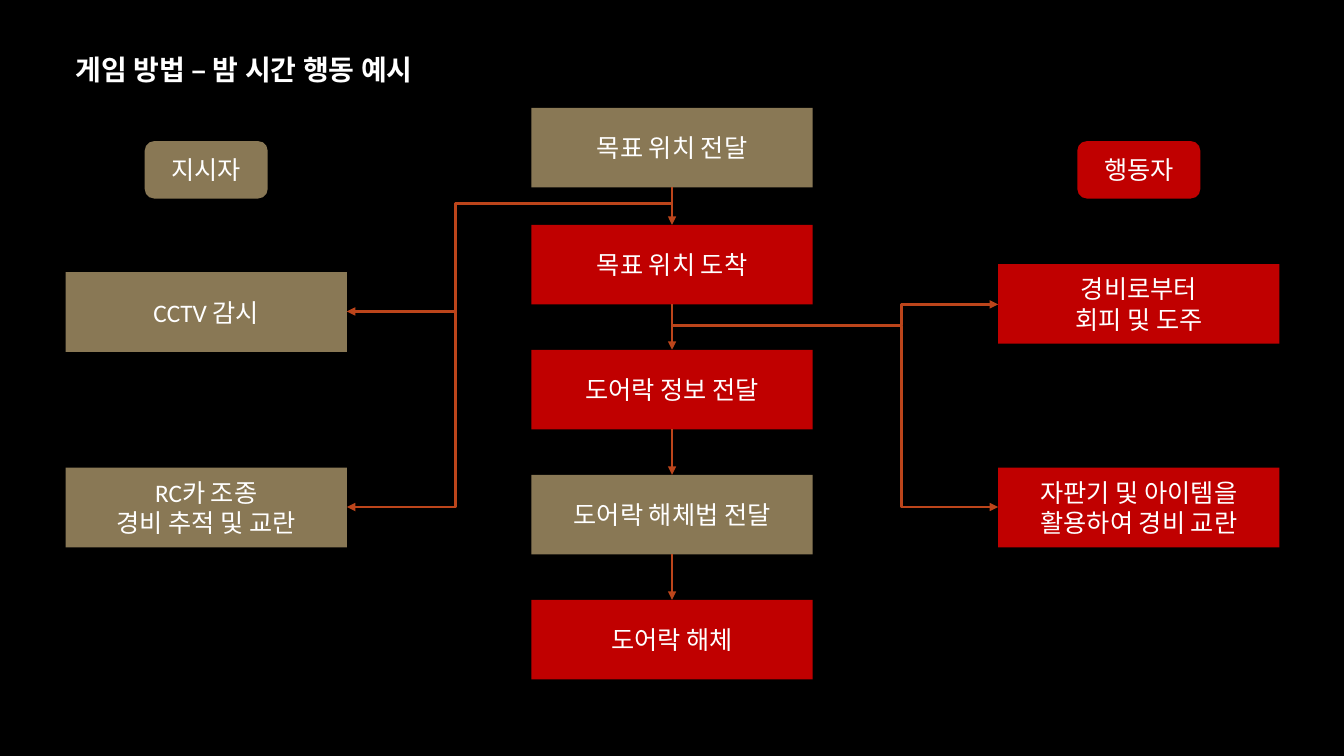
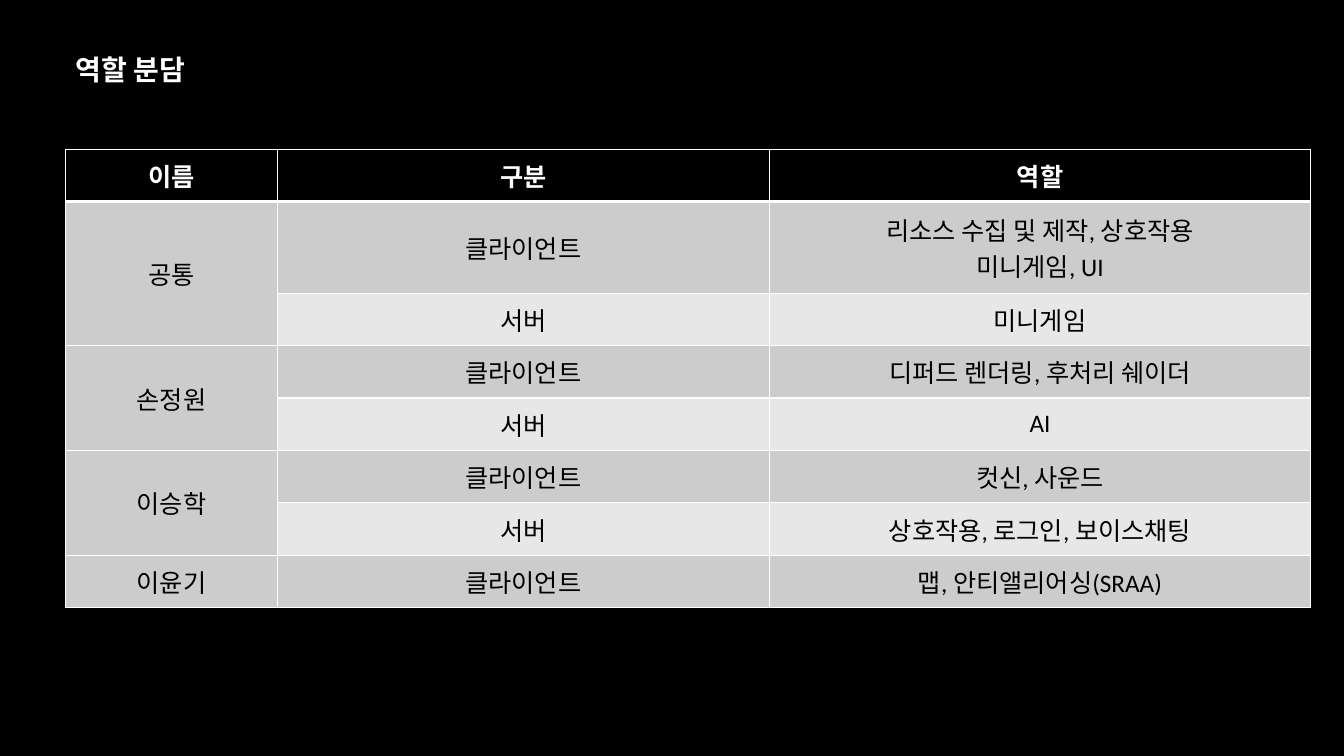
from lxml import etree
from pptx import Presentation
from pptx.dml.color import RGBColor
from pptx.enum.shapes import MSO_CONNECTOR as CONN, MSO_SHAPE as SHAPE
from pptx.enum.text import MSO_ANCHOR as ANCHOR, MSO_AUTO_SIZE as AUTO, PP_ALIGN as ALIGN
from pptx.oxml import parse_xml
from pptx.oxml.ns import nsdecls, qn
from pptx.util import Inches, Pt

# Shared style
BLACK = RGBColor(0x00, 0x00, 0x00)
WHITE = RGBColor(0xFF, 0xFF, 0xFF)
TAN = RGBColor(0x89, 0x78, 0x55)
RED = RGBColor(0xC0, 0x00, 0x00)
RUST = RGBColor(0xBC, 0x45, 0x1B)
GREY = RGBColor(0xCC, 0xCC, 0xCC)
LIGHT = RGBColor(0xE7, 0xE7, 0xE7)
TITLE_FONT, BODY_FONT = "Arial", "Calibri"
SLIDE_W, SLIDE_H = 13.33, 7.5
MARGIN = 0.65

# Flow chart measures
BOX_W, BOX_H = 2.79, 0.79
PILL_W, PILL_H, PILL_TOP = 1.22, 0.57, 1.4
LEFT_X, MID_X, RIGHT_X = MARGIN, 5.27, 9.9
CENTER_X = MID_X + BOX_W / 2

STEPS = [
    ("목표 위치 전달", TAN, 1.07),
    ("목표 위치 도착", RED, 2.23),
    ("도어락 정보 전달", RED, 3.47),
    ("도어락 해체법 전달", TAN, 4.71),
    ("도어락 해체", RED, 5.95),
]
# Role, column left, colour, (top, text) of each action
ROLES = [
    ("지시자", LEFT_X, TAN, [(2.7, "CCTV 감시"), (4.64, "RC카 조종\n경비 추적 및 교란")]),
    ("행동자", RIGHT_X, RED, [(2.62, "경비로부터\n회피 및 도주"),
                           (4.64, "자판기 및 아이템을 활용하여 경비 교란")]),
]
# Branch start y, trunk x, target x, target y's
BRANCHES = [
    (2.02, 4.52, LEFT_X + BOX_W, (3.09, 5.03)),
    (3.23, 8.94, RIGHT_X, (3.02, 5.03)),
]

# Role table
COL_W = [2.1, 4.88, 5.37]
ROW_H = [0.52, 0.91] + [0.52] * 6
HEADER = ("이름", "구분", "역할")
CLIENT, SERVER = "클라이언트", "서버"
MEMBERS = [
    ("공통", [(CLIENT, "리소스 수집 및 제작, 상호작용\n미니게임, UI"), (SERVER, "미니게임")]),
    ("손정원", [(CLIENT, "디퍼드 렌더링, 후처리 쉐이더"), (SERVER, "AI")]),
    ("이승학", [(CLIENT, "컷신, 사운드"), (SERVER, "상호작용, 로그인, 보이스채팅")]),
    ("이윤기", [(CLIENT, "맵, 안티앨리어싱(SRAA)")]),
]


def write(tf, text, color, size=18, font=BODY_FONT, bold=False, align=ALIGN.CENTER):
    tf.text = text
    for p in tf.paragraphs:
        p.alignment = align
        p.font.name, p.font.size, p.font.bold = font, Pt(size), bold
        p.font.color.rgb = color


def add_titled_slide(prs, title):
    s = prs.slides.add_slide(prs.slide_layouts[6])
    s.background.fill.solid()
    s.background.fill.fore_color.rgb = BLACK
    tf = s.shapes.add_textbox(Inches(MARGIN), Inches(0.47), Inches(4.16), Inches(0.44)).text_frame
    tf.word_wrap = True
    tf.auto_size = AUTO.SHAPE_TO_FIT_TEXT
    write(tf, title, WHITE, 20, TITLE_FONT, True, ALIGN.LEFT)
    return s


def add_box(s, x, y, text, color, w=BOX_W, h=BOX_H, kind=SHAPE.RECTANGLE):
    sp = s.shapes.add_shape(kind, Inches(x), Inches(y), Inches(w), Inches(h))
    sp.shadow.inherit = False
    sp.fill.solid()
    sp.fill.fore_color.rgb = color
    sp.line.fill.background()
    sp.text_frame.word_wrap = True
    sp.text_frame.vertical_anchor = ANCHOR.MIDDLE
    write(sp.text_frame, text, WHITE)
    return sp


def add_arrow(s, x1, y1, x2, y2, kind=CONN.STRAIGHT, bend=None):
    """Draw an arrow; bend is the share of the width at which an elbow turns."""
    c = s.shapes.add_connector(kind, Inches(x1), Inches(y1), Inches(x2), Inches(y2))
    c.line.color.rgb = RUST
    c.line.width = Pt(2)
    sp_pr = c._element.spPr
    etree.SubElement(c.line._get_or_add_ln(), qn("a:tailEnd"), type="triangle")
    etree.SubElement(sp_pr, qn("a:effectLst"))
    if bend is not None:
        geom = sp_pr.find(qn("a:prstGeom"))
        av = geom.find(qn("a:avLst"))
        if av is None:
            av = etree.SubElement(geom, qn("a:avLst"))
        etree.SubElement(av, qn("a:gd"), name="adj1", fmla=f"val {round(bend * 100000)}")
    return c


def set_borders(cell, top, bottom):
    tc_pr = cell._tc.get_or_add_tcPr()
    for i, (side, width) in enumerate((("L", 1), ("R", 1), ("T", top), ("B", bottom))):
        tc_pr.insert(i, parse_xml(
            f'<a:ln{side} {nsdecls("a")} w="{Pt(width)}"><a:solidFill>'
            f'<a:srgbClr val="{WHITE}"/></a:solidFill></a:ln{side}>'))


def fill_cell(cell, text, fill, color, bold=False):
    cell.fill.solid()
    cell.fill.fore_color.rgb = fill
    cell.vertical_anchor = ANCHOR.MIDDLE
    write(cell.text_frame, text, color, bold=bold)


def build_flow(prs):
    s = add_titled_slide(prs, "게임 방법 – 밤 시간 행동 예시")

    # Central steps, each joined to the next
    boxes = [add_box(s, MID_X, y, text, color) for text, color, y in STEPS]
    for upper, lower, (_, _, y) in zip(boxes, boxes[1:], STEPS):
        arrow = add_arrow(s, CENTER_X, y + BOX_H, CENTER_X, y + BOX_H + 0.4)
        arrow.begin_connect(upper, 2)
        arrow.end_connect(lower, 0)

    # Role labels and their actions
    for role, x, color, actions in ROLES:
        add_box(s, x + (BOX_W - PILL_W) / 2, PILL_TOP, role, color, PILL_W, PILL_H,
                SHAPE.FLOWCHART_ALTERNATE_PROCESS)
        for y, text in actions:
            add_box(s, x, y, text, color)

    # Branches from the steps to the actions
    for y, trunk_x, end_x, (near_y, far_y) in BRANCHES:
        bend = (trunk_x - CENTER_X) / (end_x - CENTER_X)
        add_arrow(s, CENTER_X, y, end_x, near_y, CONN.ELBOW, bend)
        add_arrow(s, trunk_x, max(y, near_y), end_x, far_y, CONN.ELBOW, 0)


def build_roles(prs):
    s = add_titled_slide(prs, "역할 분담")
    table = s.shapes.add_table(len(ROW_H), len(COL_W), Inches(MARGIN), Inches(1.48),
                               Inches(sum(COL_W)), Inches(sum(ROW_H))).table
    for col, w in zip(table.columns, COL_W):
        col.width = Inches(w)
    for row, h in zip(table.rows, ROW_H):
        row.height = Inches(h)

    for c, text in enumerate(HEADER):
        fill_cell(table.cell(0, c), text, BLACK, WHITE, True)
    r = 1
    for name, duties in MEMBERS:
        fill_cell(table.cell(r, 0), name, GREY, BLACK)
        if len(duties) > 1:
            table.cell(r, 0).merge(table.cell(r + len(duties) - 1, 0))
        for part, duty in duties:
            fill = GREY if part == CLIENT else LIGHT
            fill_cell(table.cell(r, 1), part, fill, BLACK)
            fill_cell(table.cell(r, 2), duty, fill, BLACK)
            r += 1

    # Heavier rule under the header
    for r in range(len(ROW_H)):
        for c in range(len(COL_W)):
            set_borders(table.cell(r, c), 3 if r == 1 else 1, 3 if r == 0 else 1)


def main():
    prs = Presentation()
    prs.slide_width, prs.slide_height = Inches(SLIDE_W), Inches(SLIDE_H)
    build_flow(prs)
    build_roles(prs)
    prs.save("out.pptx")


if __name__ == "__main__":
    main()
